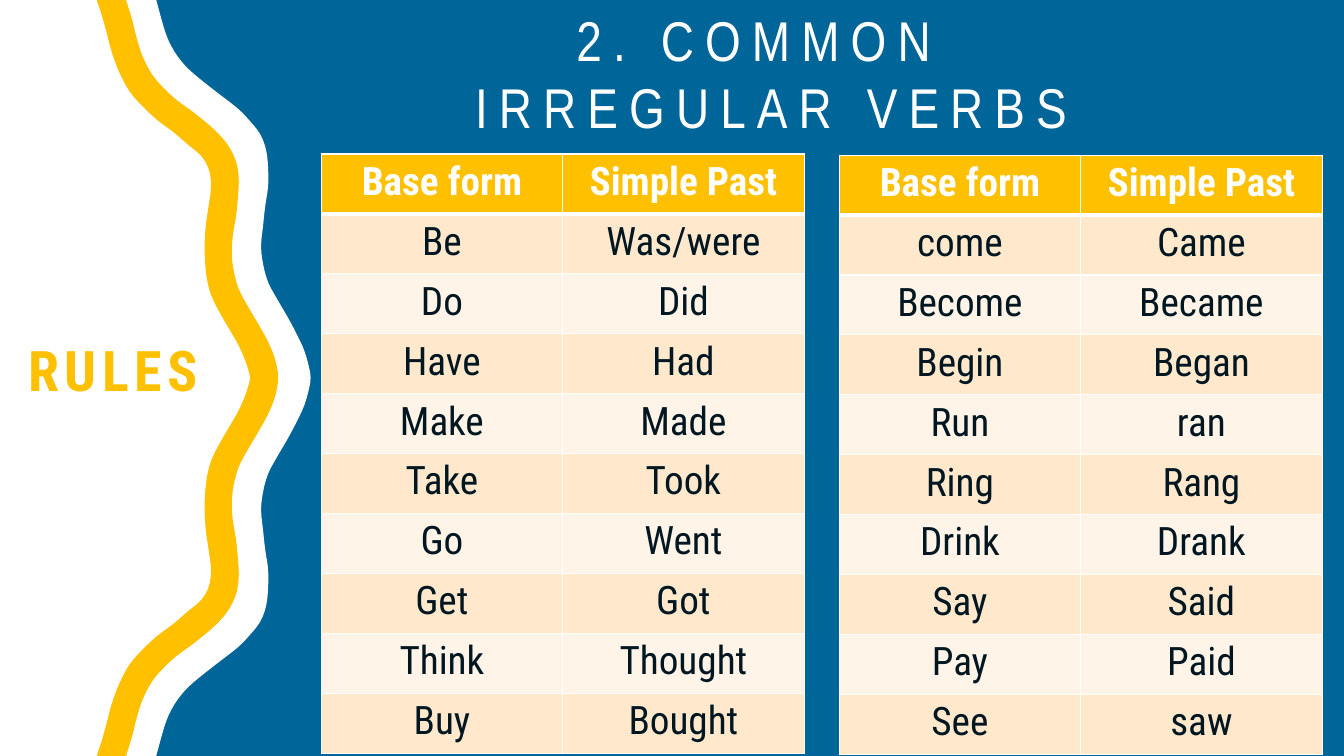
from dataclasses import dataclass

from lxml.etree import SubElement
from pptx import Presentation
from pptx.dml.color import RGBColor
from pptx.enum.text import MSO_ANCHOR, PP_ALIGN
from pptx.oxml.ns import qn
from pptx.util import Pt

BLUE = RGBColor(0x00, 0x65, 0x99)
GOLD = RGBColor(0xFF, 0xC0, 0x00)
WHITE = RGBColor(0xFF, 0xFF, 0xFF)
INK = RGBColor(0x00, 0x17, 0x22)
PEACH = RGBColor(0xFF, 0xE8, 0xCC)
CREAM = RGBColor(0xFF, 0xF4, 0xE7)

TEXT_FONT = "Roboto Condensed"
TITLE_FONT = "Arial Narrow"
MIDDLE = 270
COLUMN_WIDTH = 172.5
ROW_HEIGHT = 42.82
CURVE_STEPS = 3

Point = tuple[float, float]

WHITE_EDGE = [
    (111.6, 0), (117.4, 20.9), (122.4, 33.1), (129.6, 43.9), (138.2, 52.6),
    (153.4, 64.8), (169.2, 77), (177.8, 85.7), (185.8, 95.8), (190.1, 107.3),
    (191.5, 120.2), (191.5, 133.2), (189.4, 147.6), (187.9, 161.3),
    (186.5, 175.7), (187.9, 188.6), (191.5, 201.6), (198, 213.8),
    (205.2, 226.1), (211.7, 238.3), (217.4, 250.6), (221, 263.5), (221.8, 270),
]
GOLD_OUTER = [
    (90, 0), (94.3, 13.7), (97.9, 28.1), (102.2, 41), (108.7, 53.3),
    (116.6, 62.6), (126, 71.3), (136.8, 79.2), (147.6, 87.8), (157, 96.5),
    (164.2, 105.8), (169.2, 117.4), (170.6, 129.6), (169.9, 141.8),
    (168.5, 155.5), (166.3, 168.5), (165.6, 181.4), (167, 193.7),
    (170.6, 206.6), (177.1, 218.9), (184.3, 231.1), (191.5, 244.1),
    (196.6, 257), (198.7, 270),
]
GOLD_INNER = [
    (69.1, 0), (72.7, 10.8), (76.3, 23.8), (79.9, 37.4), (85, 51.1),
    (92.2, 64.8), (101.5, 75.6), (112.3, 85.7), (123.8, 94.3), (133.9, 103),
    (143.3, 110.9), (148.3, 118.8), (150.5, 127.4), (150.5, 136.8),
    (149, 147.6), (146.9, 162.7), (146.2, 180), (147.6, 198), (151.2, 211.7),
    (157.7, 224.6), (164.9, 236.9), (170.6, 247), (175, 257), (177.8, 265.7),
    (178.6, 270),
]


@dataclass
class Wave:
    outer: list[Point]
    inner: list[Point]
    color: RGBColor


@dataclass
class VerbList:
    left: float
    top: float
    verbs: list[tuple[str, str]]


@dataclass
class Heading:
    text: str
    left: float
    top: float
    width: float
    height: float
    font: str
    color: RGBColor
    bold: bool
    tracking: int
    align: PP_ALIGN
    line_spacing: float
    space_before: float


WAVES = [
    Wave(WHITE_EDGE, [(0, 0), (0, MIDDLE)], WHITE),
    Wave(GOLD_OUTER, GOLD_INNER, GOLD),
]
TITLE = Heading("2. COMMON \vIRREGULAR VERBS", 311, 0, 480, 104.4, TITLE_FONT,
                WHITE, False, 800, PP_ALIGN.CENTER, 1.0, 0)
RULES = Heading("RULES", 13, 241.2, 144, 74.9, TEXT_FONT,
                GOLD, True, 400, PP_ALIGN.LEFT, 0.9, 7)
VERB_LISTS = [
    VerbList(229.4, 110, [
        ("Be", "Was/were"), ("Do", "Did"), ("Have", "Had"), ("Make", "Made"),
        ("Take", "Took"), ("Go", "Went"), ("Get", "Got"),
        ("Think", "Thought"), ("Buy", "Bought"),
    ]),
    VerbList(599.4, 110.8, [
        ("come", "Came"), ("Become", "Became"), ("Begin", "Began"),
        ("Run", "ran"), ("Ring", "Rang"), ("Drink", "Drank"),
        ("Say", "Said"), ("Pay", "Paid"), ("See", "saw"),
    ]),
]


def full_curve(half: list[Point]) -> list[Point]:
    knots = half + [(x, 2 * MIDDLE - y) for x, y in reversed(half[:-1])]
    padded = [knots[0], *knots, knots[-1]]
    curve = []
    for a, b, c, d in zip(padded, padded[1:], padded[2:], padded[3:]):
        for step in range(CURVE_STEPS):
            t = step / CURVE_STEPS
            curve.append(tuple(
                q + t * (r - p + t * (2 * p - 5 * q + 4 * r - s
                                      + t * (3 * (q - r) + s - p))) / 2
                for p, q, r, s in zip(a, b, c, d)))
    return curve + [knots[-1]]


def draw_wave(slide, wave: Wave, layer: int) -> None:
    outline = full_curve(wave.outer) + full_curve(wave.inner)[::-1]
    start, *rest = [(Pt(x), Pt(y)) for x, y in outline]
    builder = slide.shapes.build_freeform(*start)
    builder.add_line_segments(rest, close=True)
    band = builder.convert_to_shape()
    band.shadow.inherit = False
    band.fill.solid()
    band.fill.fore_color.rgb = wave.color
    band.line.fill.background()
    slide.shapes._spTree.insert(2 + layer, band._element)


def style_paragraph(paragraph, font: str, size: float, color: RGBColor,
                    bold: bool, align: PP_ALIGN) -> None:
    paragraph.alignment = align
    paragraph.font.name = font
    paragraph.font.size = Pt(size)
    paragraph.font.bold = bold
    paragraph.font.color.rgb = color


def fill_heading(placeholder, heading: Heading) -> None:
    placeholder.left, placeholder.top = Pt(heading.left), Pt(heading.top)
    placeholder.width, placeholder.height = Pt(heading.width), Pt(heading.height)
    frame = placeholder.text_frame
    frame.text = heading.text
    frame.word_wrap = True
    frame.vertical_anchor = MSO_ANCHOR.TOP
    paragraph = frame.paragraphs[0]
    paragraph.line_spacing = heading.line_spacing
    paragraph.space_before = Pt(heading.space_before)
    style_paragraph(paragraph, heading.font, 40, heading.color,
                    heading.bold, heading.align)
    properties = paragraph._p.pPr
    properties.set("marL", "0")
    properties.set("indent", "0")
    defaults = properties.find(qn("a:defRPr"))
    defaults.set("spc", str(heading.tracking))
    defaults.addprevious(SubElement(properties, qn("a:buNone")))


def set_border(cell, edge: str, width: float) -> None:
    line = SubElement(cell._tc.get_or_add_tcPr(), qn(f"a:{edge}"), w=str(Pt(width)))
    SubElement(SubElement(line, qn("a:solidFill")), qn("a:srgbClr"), val=str(WHITE))


def draw_verbs(slide, verb_list: VerbList) -> None:
    rows = [("Base form", "Simple Past"), *verb_list.verbs]
    table = slide.shapes.add_table(
        len(rows), 2, Pt(verb_list.left), Pt(verb_list.top),
        Pt(2 * COLUMN_WIDTH), Pt(len(rows) * ROW_HEIGHT)).table
    for column in table.columns:
        column.width = Pt(COLUMN_WIDTH)
    for index, forms in enumerate(rows):
        table.rows[index].height = Pt(ROW_HEIGHT)
        header = index == 0
        fill = GOLD if header else PEACH if index % 2 else CREAM
        for column, form in enumerate(forms):
            cell = table.cell(index, column)
            cell.text = form
            style_paragraph(cell.text_frame.paragraphs[0], TEXT_FONT, 28,
                            WHITE if header else INK, header, PP_ALIGN.CENTER)
            set_border(cell, "lnL", 1)
            set_border(cell, "lnR", 1)
            set_border(cell, "lnT", 3 if index == 1 else 1)
            set_border(cell, "lnB", 3 if header else 1)
            cell.fill.solid()
            cell.fill.fore_color.rgb = fill


def main() -> None:
    deck = Presentation()
    deck.slide_width, deck.slide_height = Pt(960), Pt(540)
    slide = deck.slides.add_slide(deck.slide_layouts[1])
    slide.background.fill.solid()
    slide.background.fill.fore_color.rgb = BLUE
    for layer, wave in enumerate(WAVES):
        draw_wave(slide, wave, layer)
    fill_heading(slide.shapes.title, TITLE)
    fill_heading(slide.placeholders[1], RULES)
    for verb_list in VERB_LISTS:
        draw_verbs(slide, verb_list)
    deck.save("out.pptx")


if __name__ == "__main__":
    main()
